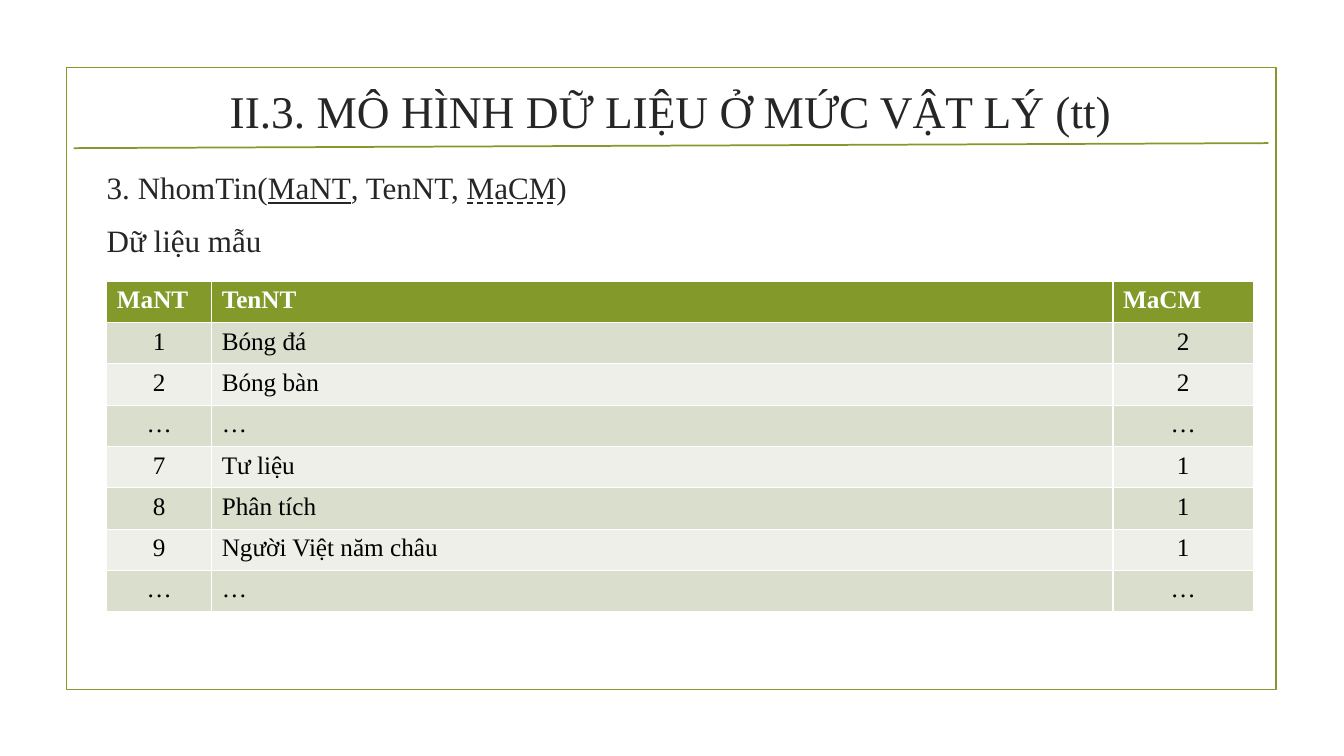
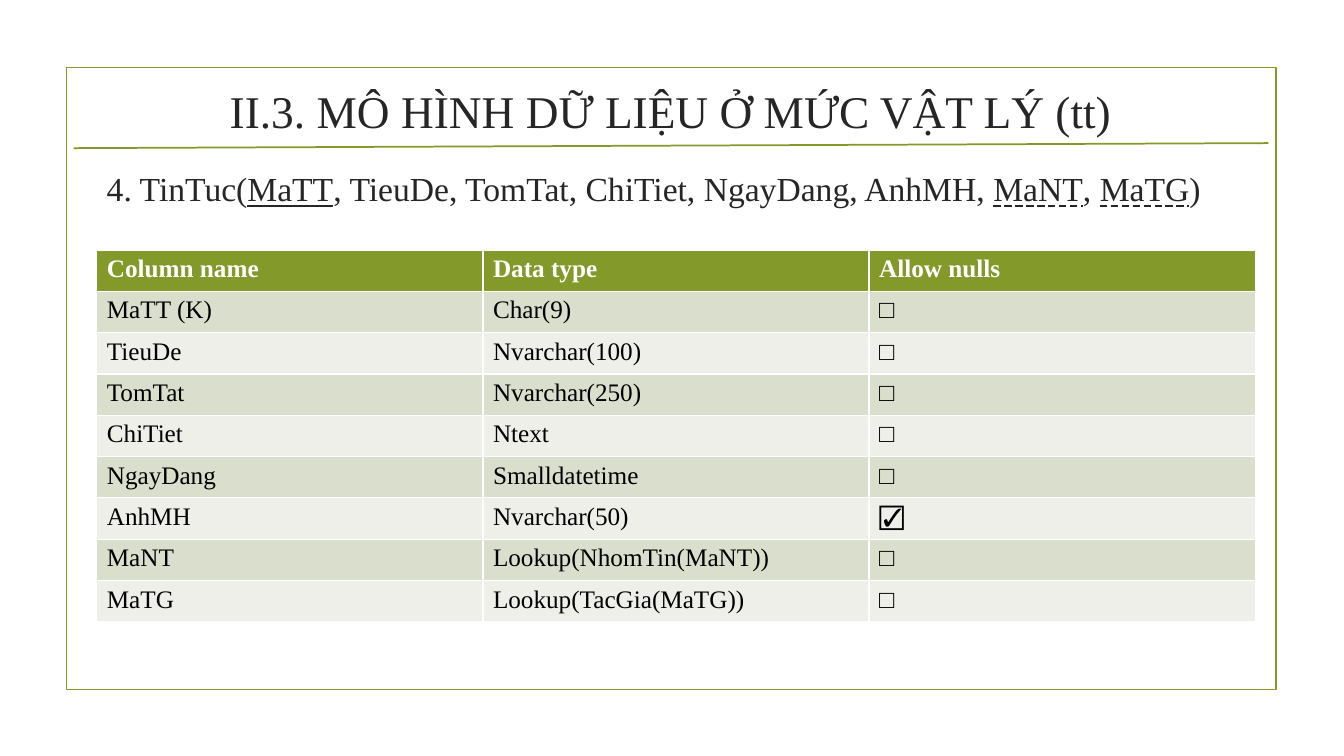
"""Build two slides on the physical data model of a news database."""
import pptx
import pptx.dml.color
import pptx.enum.shapes
import pptx.enum.text
import pptx.util
from lxml import etree

GREEN = pptx.dml.color.RGBColor(0x83, 0x99, 0x2A)
INK = pptx.dml.color.RGBColor(0x26, 0x26, 0x26)
BLACK = pptx.dml.color.RGBColor(0x00, 0x00, 0x00)
WHITE = pptx.dml.color.RGBColor(0xFF, 0xFF, 0xFF)
BANDS = (
    pptx.dml.color.RGBColor(0xD9, 0xDE, 0xCD),
    pptx.dml.color.RGBColor(0xED, 0xEF, 0xE8),
)

FONT = "Times New Roman"
PX = 9144
ROW_HEIGHT = 41
LEFT = pptx.enum.text.PP_ALIGN.LEFT
CENTER = pptx.enum.text.PP_ALIGN.CENTER
PLAIN = False
PRIMARY = True
FOREIGN = pptx.enum.text.MSO_UNDERLINE.DASH_LINE

TITLE = "II.3. MÔ HÌNH DỮ LIỆU Ở MỨC VẬT LÝ (tt)"

SLIDES = [
    {
        "schema": [
            [("3. NhomTin(", PLAIN), ("MaNT", PRIMARY), (", TenNT, ", PLAIN),
             ("MaCM", FOREIGN), (")", PLAIN)],
            [("Dữ liệu mẫu", PLAIN)],
        ],
        "schema_size": 22.2,
        "schema_height": 104,
        "table_at": (106, 279),
        "columns": [(104, CENTER), (894, LEFT), (139, CENTER)],
        "rows": [
            ("MaNT", "TenNT", "MaCM"),
            ("1", "Bóng đá", "2"),
            ("2", "Bóng bàn", "2"),
            ("…", "…", "…"),
            ("7", "Tư liệu", "1"),
            ("8", "Phân tích", "1"),
            ("9", "Người Việt năm châu", "1"),
            ("…", "…", "…"),
        ],
    },
    {
        "schema": [
            [("4. TinTuc(", PLAIN), ("MaTT", PRIMARY),
             (", TieuDe, TomTat, ChiTiet, NgayDang, AnhMH, ", PLAIN),
             ("MaNT", FOREIGN), (", ", PLAIN), ("MaTG", FOREIGN), (")", PLAIN)],
        ],
        "schema_size": 24,
        "schema_height": 66,
        "table_at": (96, 248),
        "columns": [(383, LEFT)] * 3,
        "rows": [
            ("Column name", "Data type", "Allow nulls"),
            ("MaTT (K)", "Char(9)", "□"),
            ("TieuDe", "Nvarchar(100)", "□"),
            ("TomTat", "Nvarchar(250)", "□"),
            ("ChiTiet", "Ntext", "□"),
            ("NgayDang", "Smalldatetime", "□"),
            ("AnhMH", "Nvarchar(50)", "☑"),
            ("MaNT", "Lookup(NhomTin(MaNT))", "□"),
            ("MaTG", "Lookup(TacGia(MaTG))", "□"),
        ],
    },
]


def px(*lengths):
    return [pptx.util.Emu(length * PX) for length in lengths]


def write(paragraph, text, size, color=INK, bold=False, underline=PLAIN, align=LEFT):
    paragraph.alignment = align
    run = paragraph.add_run()
    run.text = text
    run.font.name = FONT
    run.font.size = pptx.util.Pt(size)
    run.font.color.rgb = color
    run.font.bold = bold
    run.font.underline = underline


def outline(line):
    line.color.rgb = GREEN
    line.width = pptx.util.Pt(1.25)


def add_frame(slide):
    border = slide.shapes.add_shape(
        pptx.enum.shapes.MSO_SHAPE.RECTANGLE, *px(66, 67, 1200, 617))
    border.shadow.inherit = False
    border.fill.background()
    outline(border.line)
    rule = slide.shapes.add_connector(
        pptx.enum.shapes.MSO_CONNECTOR.STRAIGHT, *px(73, 147, 1258, 142))
    outline(rule.line)
    etree.SubElement(rule._element.spPr, pptx.oxml.ns.qn("a:effectLst"))


def add_title(slide):
    title = slide.shapes.title
    title.left, title.top, title.width, title.height = px(72, 76, 1186, 67)
    frame = title.text_frame
    frame.word_wrap = True
    frame.auto_size = pptx.enum.text.MSO_AUTO_SIZE.NONE
    frame.vertical_anchor = pptx.enum.text.MSO_ANCHOR.MIDDLE
    write(frame.paragraphs[0], TITLE, 32.4, align=CENTER)


def add_schema(slide, lines, size, height):
    frame = slide.shapes.add_textbox(*px(96, 162, 1148, height)).text_frame
    frame.word_wrap = True
    for index, fields in enumerate(lines):
        paragraph = frame.add_paragraph() if index else frame.paragraphs[0]
        paragraph.space_before = pptx.util.Pt(5)
        paragraph.space_after = pptx.util.Pt(6)
        for text, key in fields:
            write(paragraph, text, size, underline=key)


def add_records(slide, position, columns, rows):
    width = sum(column_width for column_width, _ in columns)
    table = slide.shapes.add_table(
        len(rows), len(columns),
        *px(*position, width, ROW_HEIGHT * len(rows))).table
    for column, (column_width, _) in zip(table.columns, columns):
        column.width = px(column_width)[0]
    for r, values in enumerate(rows):
        header = r == 0
        table.rows[r].height = px(ROW_HEIGHT)[0]
        for c, text in enumerate(values):
            cell = table.cell(r, c)
            cell.fill.solid()
            cell.fill.fore_color.rgb = GREEN if header else BANDS[(r - 1) % 2]
            write(cell.text_frame.paragraphs[0], text, 18,
                  color=WHITE if header else BLACK, bold=header,
                  align=LEFT if header else columns[c][1])


def main():
    deck = pptx.Presentation()
    deck.slide_width, deck.slide_height = px(1333, 750)
    for content in SLIDES:
        slide = deck.slides.add_slide(deck.slide_layouts[5])
        add_frame(slide)
        add_title(slide)
        add_schema(slide, content["schema"], content["schema_size"],
                   content["schema_height"])
        add_records(slide, content["table_at"], content["columns"], content["rows"])
    deck.save("out.pptx")


if __name__ == "__main__":
    main()
